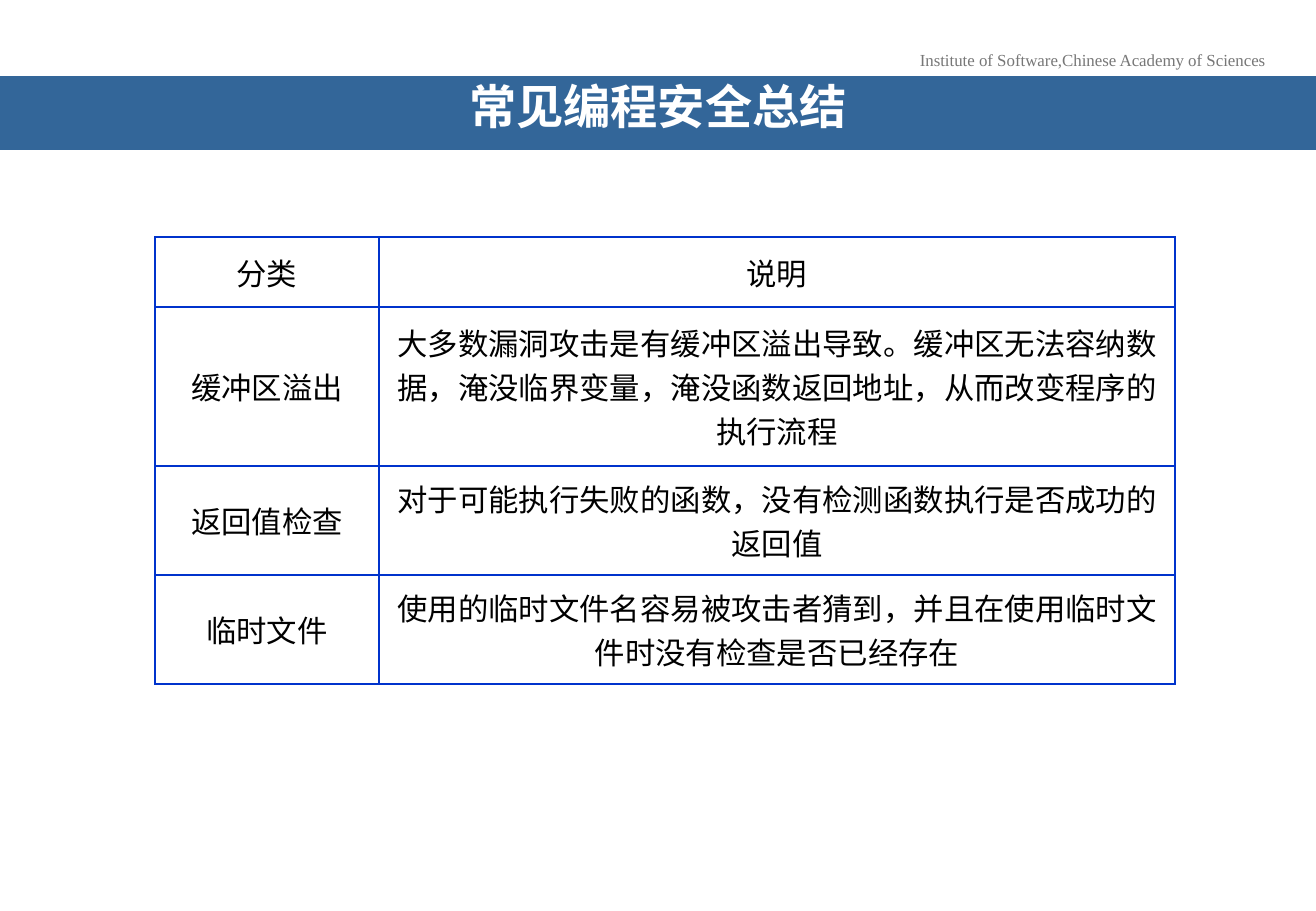
import pptx
import pptx.util
import pptx.dml.color
import pptx.enum.text
import pptx.oxml.ns
from lxml import etree

PX = 914400 / 121.5  # EMU in one px
WHITE = pptx.dml.color.RGBColor(0xFF, 0xFF, 0xFF)
BLACK = pptx.dml.color.RGBColor(0x00, 0x00, 0x00)
GREY = pptx.dml.color.RGBColor(0x77, 0x77, 0x77)
BAND_BLUE = pptx.dml.color.RGBColor(0x33, 0x66, 0x99)
BORDER_BLUE = pptx.dml.color.RGBColor(0x00, 0x33, 0xCC)

INSTITUTE_FONT = {"name": "Times New Roman", "size": pptx.util.Pt(10), "bold": False}
TITLE_FONT = {"name": "Arial Narrow", "size": pptx.util.Pt(28), "bold": True}
CELL_FONT = {"name": "Times New Roman", "size": pptx.util.Pt(18), "bold": False}

COLUMN_WIDTHS = [224, 796]
ROWS = [
    (70, "分类", "说明"),
    (159, "缓冲区溢出", "大多数漏洞攻击是有缓冲区溢出导致。缓冲区无法容纳数据，"
                        "淹没临界变量，淹没函数返回地址，从而改变程序的执行流程"),
    (109, "返回值检查", "对于可能执行失败的函数，没有检测函数执行是否成功的返回值"),
    (109, "临时文件", "使用的临时文件名容易被攻击者猜到，并且在使用临时文件时没有检查是否已经存在"),
]


def px(n):
    return pptx.util.Emu(round(n * PX))


def set_attrs(obj, values):
    for name, value in values.items():
        setattr(obj, name, value)


def write(tf, text, font, color):
    """Put one centred paragraph in a text frame."""
    p = tf.paragraphs[0]
    p.alignment = pptx.enum.text.PP_ALIGN.CENTER
    r = p.add_run()
    r.text = text
    set_attrs(r.font, font)
    r.font.color.rgb = color
    return p


def add_institute(slide):
    sp = slide.shapes.add_textbox(px(906), px(44), px(373), px(33))
    sp.text_frame.word_wrap = False
    write(sp.text_frame, "Institute of Software,Chinese Academy of Sciences",
          INSTITUTE_FONT, GREY)


def add_title(slide, text):
    sp = slide.shapes.title
    set_attrs(sp, {"left": px(0), "top": px(76), "width": px(1316), "height": px(74)})
    sp.fill.solid()
    sp.fill.fore_color.rgb = BAND_BLUE
    tf = sp.text_frame
    set_attrs(tf, {
        "auto_size": pptx.enum.text.MSO_AUTO_SIZE.NONE,
        "vertical_anchor": pptx.enum.text.MSO_ANCHOR.MIDDLE,
        "margin_left": px(38), "margin_right": px(38),
        "margin_top": px(6), "margin_bottom": px(6),
    })
    write(tf, text, TITLE_FONT, WHITE).line_spacing = 0.7


def add_borders(cell):
    tc_pr = cell._tc.get_or_add_tcPr()
    qn = pptx.oxml.ns.qn
    for i, side in enumerate(("a:lnL", "a:lnR", "a:lnT", "a:lnB")):
        ln = etree.Element(qn(side), w=str(pptx.util.Pt(1)))
        fill = etree.SubElement(ln, qn("a:solidFill"))
        etree.SubElement(fill, qn("a:srgbClr"), val=str(BORDER_BLUE))
        tc_pr.insert(i, ln)


def add_summary_table(slide):
    height = sum(row[0] for row in ROWS)
    table = slide.shapes.add_table(len(ROWS), len(COLUMN_WIDTHS), px(155), px(237),
                                   px(sum(COLUMN_WIDTHS)), px(height)).table
    set_attrs(table, {"first_row": False, "horz_banding": False})
    for column, width in zip(table.columns, COLUMN_WIDTHS):
        column.width = px(width)
    for row, (row_height, *texts) in zip(table.rows, ROWS):
        row.height = px(row_height)
        for cell, text in zip(row.cells, texts):
            cell.fill.background()
            cell.vertical_anchor = pptx.enum.text.MSO_ANCHOR.MIDDLE
            write(cell.text_frame, text, CELL_FONT, BLACK)
            add_borders(cell)


def main():
    prs = pptx.Presentation()
    set_attrs(prs, {"slide_width": px(1316), "slide_height": px(911)})
    slide = prs.slides.add_slide(prs.slide_layouts[5])  # Title Only

    # Header line and title band
    add_institute(slide)
    add_title(slide, "常见编程安全总结")

    # Categories and their explanations
    add_summary_table(slide)

    prs.save("out.pptx")


if __name__ == "__main__":
    main()
